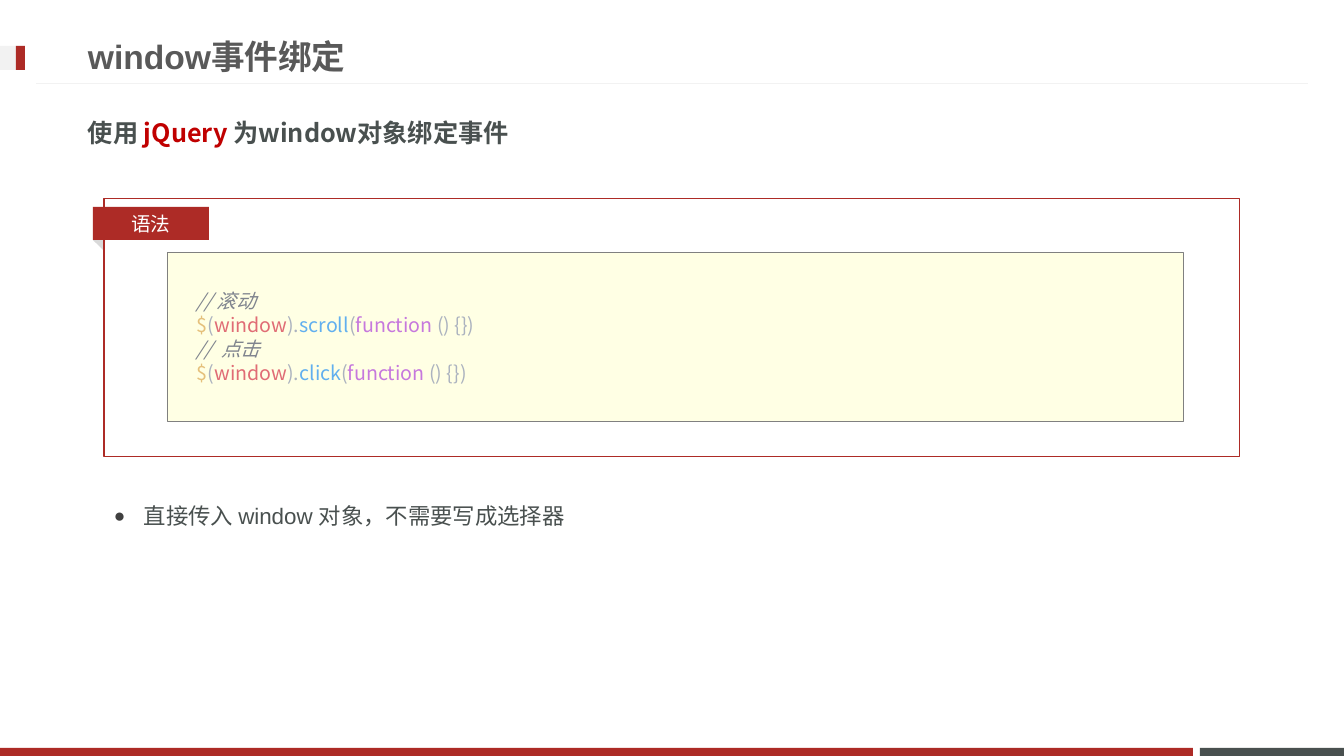
from typing import NamedTuple

from lxml import etree
from pptx import Presentation, util as u
from pptx.dml.color import RGBColor
from pptx.enum import shapes as es, text as et
from pptx.oxml.ns import qn

PX = 12192000 / 1344
RED, SLATE, PALE = "AD2B26", "49504F", "F2F2F2"
NOTO = "Noto Sans CJK JP"
GREY, NOTE, GOLD = "ABB2BF", "7F848E", "E5C07B"
ROSE, BLUE, PLUM = "E06C75", "61AFEF", "C678DD"
RECT = es.MSO_SHAPE.RECTANGLE


class Box(NamedTuple):
    x: int
    y: int
    w: int
    h: int


class Block(NamedTuple):
    box: Box
    fill: str | None = None
    line: str | None = None
    width: float = 0.75
    kind: es.MSO_SHAPE = RECT
    turn: float = 0


class Run(NamedTuple):
    text: str
    color: str
    slant: bool = False


class Style(NamedTuple):
    size: int
    face: str = "Arial"
    bold: bool = False
    before: float = 0
    space: float | u.Pt = 1.0


def px(n: float) -> u.Emu:
    return u.Emu(round(n * PX))


def rgb(code: str) -> RGBColor:
    return RGBColor.from_string(code)


def add_block(slide, b: Block):
    shape = slide.shapes.add_shape(b.kind, *map(px, b.box))
    shape.shadow.inherit = False
    shape.rotation = b.turn
    if b.fill:
        shape.fill.solid()
        shape.fill.fore_color.rgb = rgb(b.fill)
    else:
        shape.fill.background()
    if b.line:
        shape.line.color.rgb = rgb(b.line)
        shape.line.width = u.Pt(b.width)
    else:
        shape.line.fill.background()
    return shape


def write(shape, rows: list[list[Run]], style: Style,
          anchor=et.MSO_ANCHOR.MIDDLE, align=et.PP_ALIGN.LEFT) -> None:
    frame = shape.text_frame
    frame.word_wrap = True
    frame.vertical_anchor = anchor
    for i, row in enumerate(rows):
        para = frame.add_paragraph() if i else frame.paragraphs[0]
        para.alignment = align
        para.line_spacing = style.space
        para.space_before = u.Pt(style.before)
        font = para.font
        font.size, font.bold, font.name = u.Pt(style.size), style.bold, style.face
        base = para._p.pPr.find(qn("a:defRPr"))
        etree.SubElement(base, qn("a:ea"), typeface=NOTO)
        if len({r.color for r in row}) == 1:
            font.color.rgb = rgb(row[0].color)
        if all(r.slant for r in row):
            font.italic = True
        for part in row:
            run = para.add_run()
            run.text = part.text
            if len(row) > 1:
                run.font.color.rgb = rgb(part.color)


def add_text(slide, box: Box, rows: list[list[Run]], style: Style,
             anchor=et.MSO_ANCHOR.MIDDLE):
    shape = slide.shapes.add_textbox(*map(px, box))
    write(shape, rows, style, anchor)
    return shape


def add_bullet(para, gap: int) -> None:
    props = para._p.get_or_add_pPr()
    props.set("marL", str(px(gap)))
    props.set("indent", str(-px(gap)))
    base = props.find(qn("a:defRPr"))
    tint = etree.Element(qn("a:buClr"))
    etree.SubElement(tint, qn("a:srgbClr"), val="404040")
    base.addprevious(tint)
    for tag, key, val in (("a:buSzPct", "val", "85000"),
                          ("a:buFont", "typeface", "Arial"),
                          ("a:buChar", "char", "●")):
        item = etree.Element(qn(tag))
        item.set(key, val)
        base.addprevious(item)


def call(name: str) -> list[Run]:
    return [Run("$", GOLD), Run("(", GREY), Run("window", ROSE), Run(").", GREY),
            Run(name, BLUE), Run("(", GREY), Run("function", PLUM),
            Run("\u00a0()\u00a0{})".replace("\u00a0", " "), GREY)]


FRAME = [
    Block(Box(1200, 748, 144, 8), SLATE),
    Block(Box(0, 748, 1193, 8), RED),
    Block(Box(0, 46, 25, 24), PALE),
    Block(Box(16, 46, 9, 24), RED),
]
PANEL = [
    Block(Box(167, 252, 1016, 169), "FFFFE4", "808080", 0.25),
    Block(Box(94, 238, 16, 9), "D9D9D9", kind=es.MSO_SHAPE.ISOSCELES_TRIANGLE,
          turn=44.2),
    Block(Box(104, 199, 1136, 258), line=RED),
]
CODE = [
    [Run("// 滚动", NOTE, True)],
    call("scroll"),
    [Run("//  点击", NOTE, True)],
    call("click"),
]


def main() -> None:
    deck = Presentation()
    deck.slide_width, deck.slide_height = px(1344), px(756)
    slide = deck.slides.add_slide(deck.slide_layouts[6])

    # Footer bars, title mark and rule
    for block in FRAME:
        add_block(slide, block)
    rule = slide.shapes.add_connector(es.MSO_CONNECTOR.STRAIGHT,
                                      px(1308), px(84), px(36), px(84))
    rule.line.color.rgb = rgb(PALE)
    rule.line.width = u.Pt(0.75)
    etree.SubElement(rule._element.spPr, qn("a:effectLst"))

    # Title and lead
    add_text(slide, Box(78, 27, 967, 58), [[Run("window事件绑定", "595959")]],
             Style(24, bold=True))
    lead = [Run("使用 ", SLATE), Run("jQuery ", "C00000"),
            Run("为window对象绑定事件", SLATE)]
    add_text(slide, Box(78, 104, 1185, 57), [lead], Style(18, NOTO, True, 3.6))

    # Syntax panel with its tag and code
    for block in PANEL:
        add_block(slide, block)
    tag = add_block(slide, Block(Box(93, 207, 116, 33), RED))
    write(tag, [[Run("语法", "FFFFFF")]], Style(14), align=et.PP_ALIGN.CENTER)
    add_text(slide, Box(187, 284, 701, 105), CODE,
             Style(14, NOTO, space=u.Pt(17)))

    # Remark
    remark = add_text(slide, Box(104, 484, 1185, 238),
                      [[Run("直接传入 window 对象，不需要写成选择器", SLATE)]],
                      Style(16, before=3.2, space=1.5), et.MSO_ANCHOR.TOP)
    add_bullet(remark.text_frame.paragraphs[0], 30)

    deck.save("out.pptx")


if __name__ == "__main__":
    main()
